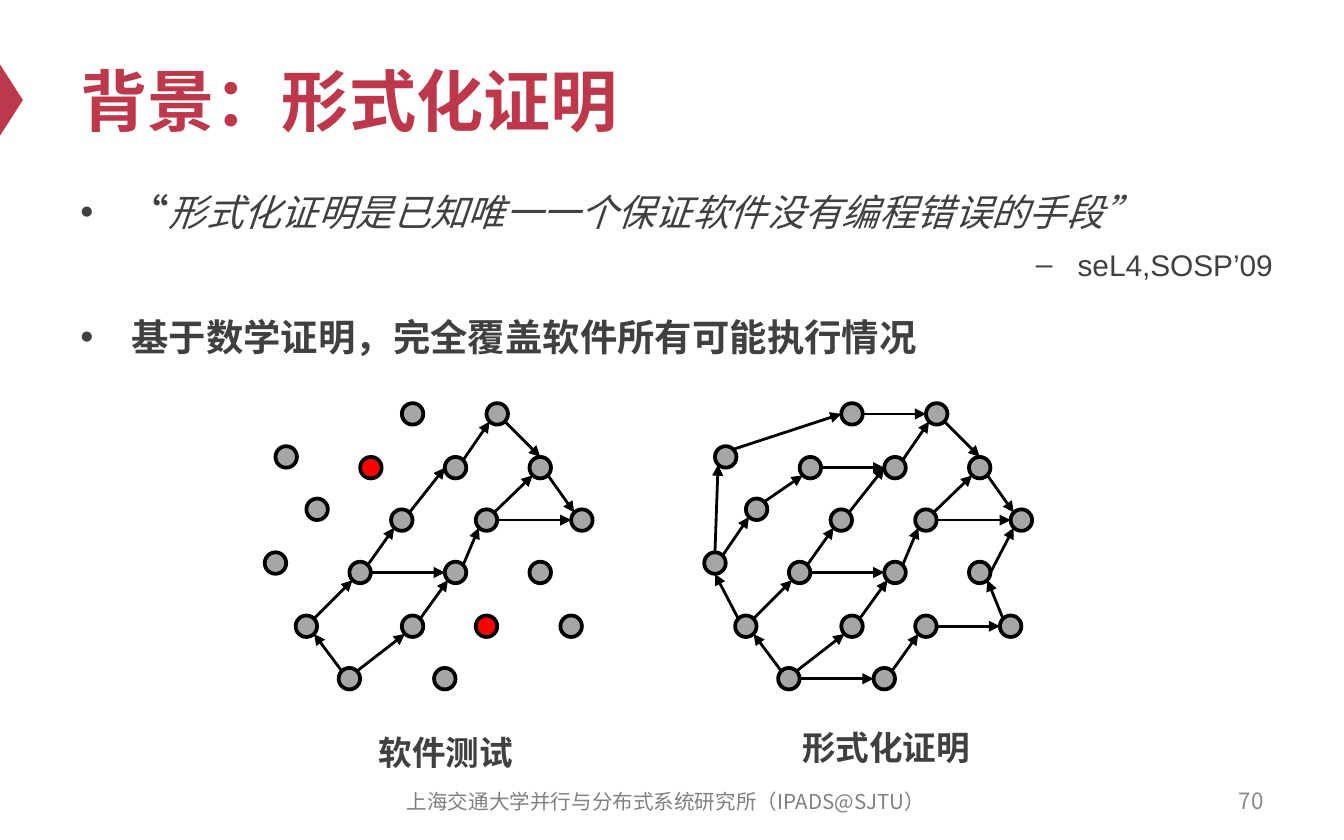
from lxml import etree
from pptx import Presentation
from pptx.dml.color import RGBColor
from pptx.enum.shapes import MSO_CONNECTOR, MSO_SHAPE
from pptx.enum.text import MSO_ANCHOR as ANCHOR, PP_ALIGN as ALIGN
from pptx.oxml.ns import qn
from pptx.util import Inches, Pt

CRIMSON, DARK, BLACK = "BE384B", "404040", "000000"
LATIN, CJK = "Arial", "Noto Sans CJK SC"


def style(run, size, color, font=CJK, bold=False, italic=False):
    run.font.size = Pt(size)
    run.font.name = font
    run.font.bold = bold
    run.font.italic = italic
    run.font.color.rgb = RGBColor.from_string(color)
    etree.SubElement(run.font._element, qn("a:ea"), typeface=CJK)


def add_text(box, text, size, color, align=ALIGN.LEFT, anchor=ANCHOR.MIDDLE, **look):
    """Add a one-paragraph text box; box is left, top, width, height in inches."""
    frame = slide.shapes.add_textbox(*map(Inches, box)).text_frame
    frame.word_wrap = True
    frame.vertical_anchor = anchor
    frame.text = text
    frame.paragraphs[0].alignment = align
    style(frame.paragraphs[0].runs[0], size, color, **look)


prs = Presentation()
prs.slide_width, prs.slide_height = Inches(10), Inches(6.25)
slide = prs.slides.add_slide(prs.slide_layouts[6])

# Title with its marker on the slide edge
marker = slide.shapes.add_shape(MSO_SHAPE.ISOSCELES_TRIANGLE, Inches(-0.18),
                                Inches(0.66), Inches(0.53), Inches(0.17))
marker.rotation = 90
marker.shadow.inherit = False
marker.fill.solid()
marker.fill.fore_color.rgb = RGBColor.from_string(CRIMSON)
marker.line.fill.background()
add_text((0.5, 0.25, 9, 0.98), "背景：形式化证明", 36, CRIMSON, font=LATIN, bold=True)

# Bullets: level, bullet, left margin, hanging indent, space before, alignment, runs
points = [
    (0, "•", 0.38, 0.38, 0, ALIGN.LEFT,
     [("“", 20, True, False),
      ("形式化证明是已知唯一一个保证软件没有编程错误的手段”", 20, False, True)]),
    (1, "–", 0.81, 0.31, 3.2, ALIGN.RIGHT, [("seL4,SOSP’09", 16, False, False)]),
    (0, "•", 0.38, 0.38, 12, ALIGN.LEFT,
     [("基于数学证明，完全覆盖软件所有可能执行情况", 20, True, False)]),
]
body = slide.shapes.add_textbox(Inches(0.5), Inches(1.29), Inches(9.07),
                                Inches(3.35)).text_frame
body.word_wrap = True
for index, (level, bullet, margin, hanging, before, align, pieces) in enumerate(points):
    paragraph = body.add_paragraph() if index else body.paragraphs[0]
    paragraph.level = level
    paragraph.alignment = align
    paragraph.line_spacing = 1.2
    paragraph.space_before = Pt(before)
    props = paragraph._p.get_or_add_pPr()
    props.set("marL", str(Inches(margin)))
    props.set("indent", str(-Inches(hanging)))
    etree.SubElement(props, qn("a:buFont"), typeface=LATIN)
    etree.SubElement(props, qn("a:buChar"), char=bullet)
    for text, size, bold, italic in pieces:
        run = paragraph.add_run()
        run.text = text
        style(run, size, DARK, LATIN, bold, italic)

# Program states: left and top in the first graph
DOT = 0.16
states = {
    "a": (2.05, 3.32), "b": (2.99, 3.00), "c": (2.68, 3.40), "d": (2.28, 3.71),
    "e": (1.97, 4.11), "f": (2.91, 3.79), "g": (2.60, 4.18), "h": (3.62, 3.00),
    "i": (3.31, 3.40), "j": (3.54, 3.79), "k": (3.31, 4.18), "l": (3.54, 4.58),
    "m": (3.23, 4.97), "n": (3.94, 4.18), "o": (4.17, 4.58), "p": (2.20, 4.58),
    "q": (2.52, 4.97), "r": (4.25, 3.79), "s": (3.94, 3.40), "t": (2.99, 4.58),
}
# Points on a dot's rim, in radii from its centre
rim = {"N": (0, -1), "S": (0, 1), "W": (-1, 0), "E": (1, 0),
       "NE": (0.71, -0.71), "NW": (-0.71, -0.71),
       "SE": (0.71, 0.71), "SW": (-0.71, 0.71)}
# Each step: start state, rim point, end state, rim point
tested = ["p NE g SW", "g NE f SW", "f NE i W", "i NE h SW", "t NE k SW",
          "g E k W", "k NE j SW", "j NE s SW", "h SE s N", "s SE r NW",
          "j E r W", "q NW p SE", "q NE t SW"]
proved = tested + ["p NW e S", "e N a SW", "a NE b W", "b E h W", "e NE d SW",
                   "d NE c SW", "c E i W", "q E m W", "m NE l SW", "l E o W",
                   "o NW n SE", "n E r SW"]

for offset, steps, missed in [(0, tested, "cl"), (3.27, proved, "")]:
    for state, (left, top) in states.items():
        dot = slide.shapes.add_shape(MSO_SHAPE.OVAL, Inches(left + offset), Inches(top),
                                     Inches(DOT), Inches(DOT))
        dot.shadow.inherit = False
        dot.fill.solid()
        dot.fill.fore_color.rgb = RGBColor.from_string(
            "FF0000" if state in missed else "A6A6A6")
        dot.line.color.rgb = RGBColor.from_string(BLACK)
        dot.line.width = Pt(2)
    for step in steps:
        start, start_side, end, end_side = step.split()
        ends = []
        for state, side in [(start, start_side), (end, end_side)]:
            ends += [Inches(states[state][0] + offset + DOT / 2 * (1 + rim[side][0])),
                     Inches(states[state][1] + DOT / 2 * (1 + rim[side][1]))]
        arrow = slide.shapes.add_connector(MSO_CONNECTOR.STRAIGHT, *ends)
        arrow.line.color.rgb = RGBColor.from_string(BLACK)
        arrow.line.width = Pt(1.5)
        outline = arrow._element.spPr
        etree.SubElement(outline.find(qn("a:ln")), qn("a:tailEnd"), type="triangle")
        etree.SubElement(outline, qn("a:effectLst"))

# Captions, footer and page number
add_text((2.72, 5.4, 2.4, 0.4), "软件测试", 18, DARK, anchor=ANCHOR.TOP, bold=True)
add_text((5.87, 5.36, 2.2, 0.4), "形式化证明", 18, DARK, anchor=ANCHOR.TOP, bold=True)
add_text((7.17, 5.79, 2.33, 0.33), "70", 12, "8C8C8C", ALIGN.RIGHT)
add_text((2.79, 5.8, 4.33, 0.33), "上海交通大学并行与分布式系统研究所（IPADS@SJTU）",
         11, "808080", ALIGN.CENTER)

prs.save("out.pptx")
